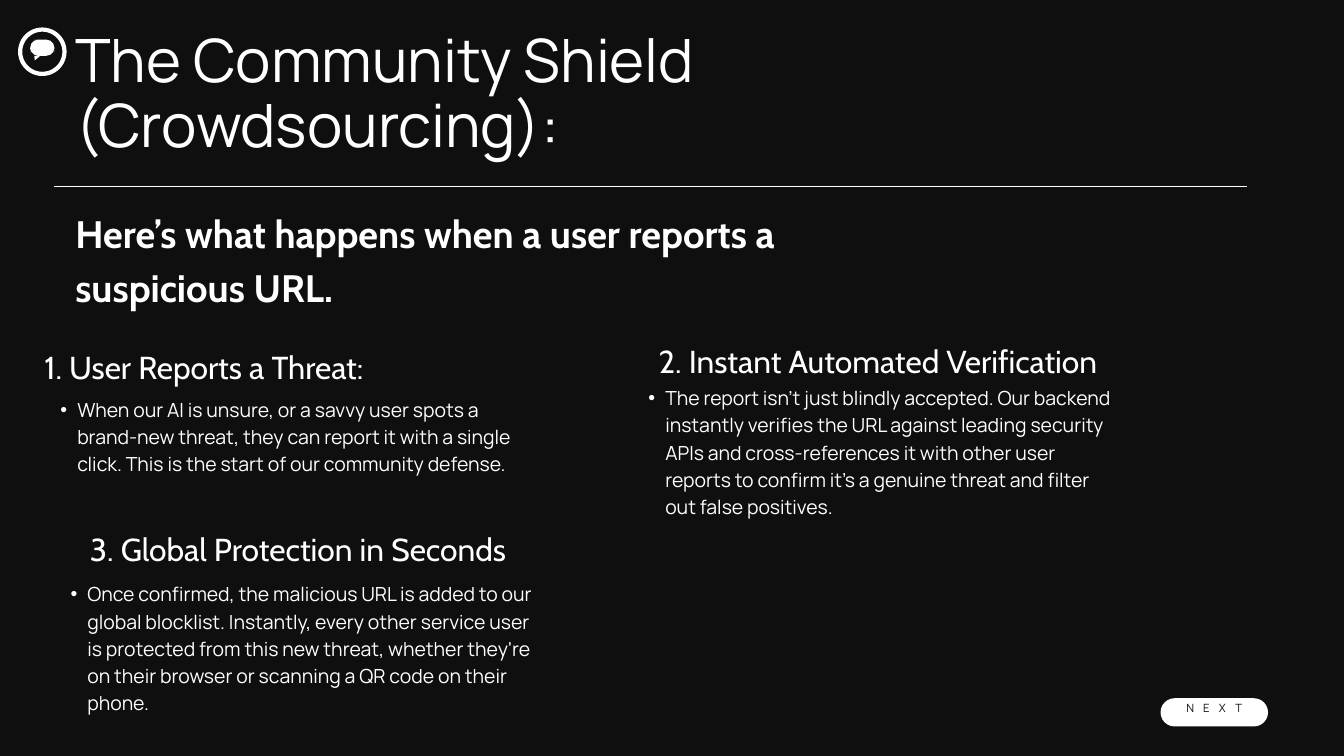
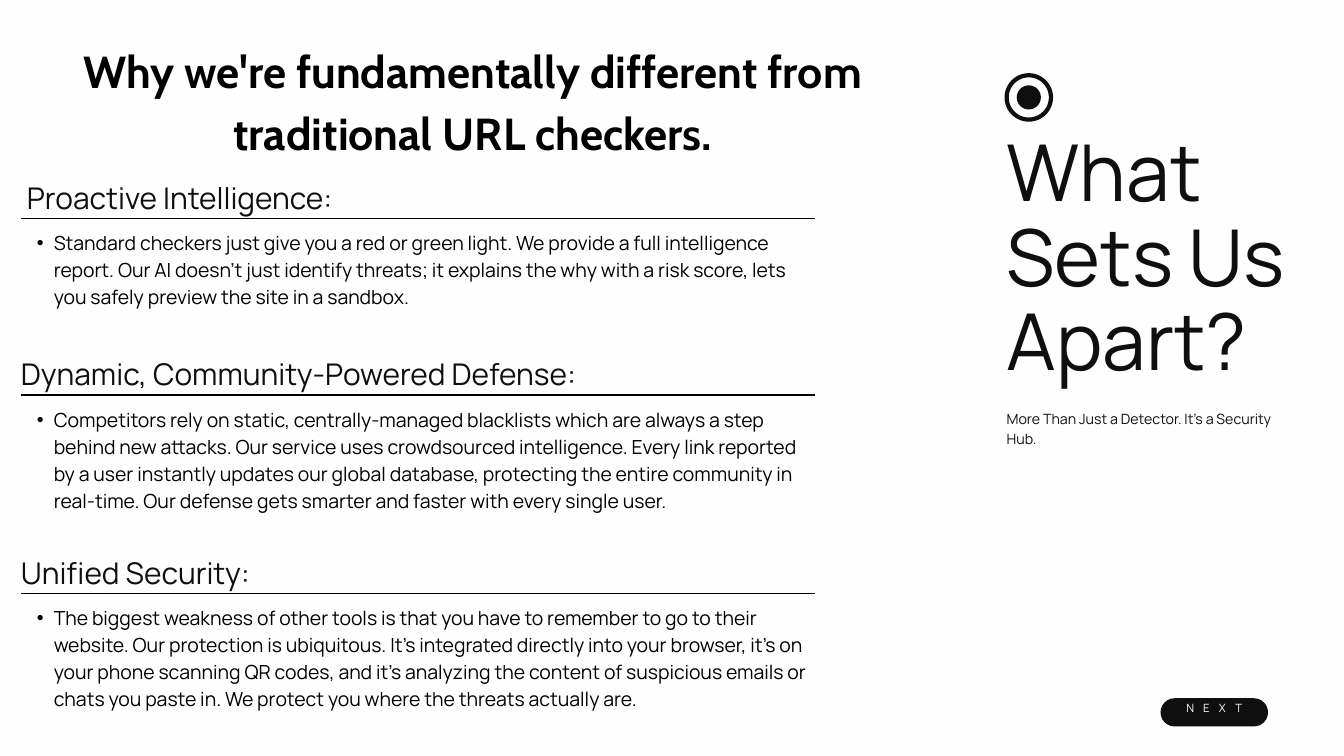
from dataclasses import dataclass

from lxml.etree import SubElement
from pptx import Presentation
from pptx.dml.color import RGBColor
from pptx.enum.shapes import MSO_CONNECTOR, MSO_SHAPE
from pptx.enum.text import MSO_ANCHOR, MSO_AUTO_SIZE, PP_ALIGN
from pptx.oxml.ns import qn
from pptx.util import Inches, Pt


@dataclass(frozen=True)
class TextStyle:
    size: float
    leading: float
    font: str = "Manrope"
    bold: bool = False


class Theme:
    INK = RGBColor.from_string("0F0F0F")
    BLACK = RGBColor.from_string("000000")
    WHITE = RGBColor.from_string("FFFFFF")
    PAPER = RGBColor.from_string("FEFEFE")
    TITLE = TextStyle(64, 69.1)
    SIDE_TITLE = TextStyle(84, 90.7)
    LEAD = TextStyle(41, 57.4, "Cabin", True)
    SIDE_LEAD = TextStyle(48, 67.2, "Cabin", True)
    STEP = TextStyle(34, 47.6, "Cabin")
    TOPIC = TextStyle(32, 44.8)
    BODY = TextStyle(20.8, 29.1)
    TAGLINE = TextStyle(15.2, 21.3)
    BUTTON = TextStyle(12.2, 17.1)


LEFT, CENTER, JUSTIFY = PP_ALIGN.LEFT, PP_ALIGN.CENTER, PP_ALIGN.JUSTIFY

SHIELD_TITLE = "The Community Shield (Crowdsourcing):"
SHIELD_LEAD = "Here’s what happens when a user reports a suspicious URL."
# heading, heading box, heading alignment, explanation, explanation box
STEPS = [
    ("1. User Reports a Threat:", (0.66, 5.08, 5.57, 0.63), JUSTIFY,
     "When our AI is unsure, or a savvy user spots a brand-new threat, they can "
     "report it with a single click. This is the start of our community defense.",
     (0.66, 5.86, 7.31, 1.6)),
    ("2. Instant Automated Verification", (9.31, 4.99, 7.51, 0.63), CENTER,
     "The report isn't just blindly accepted. Our backend instantly verifies the "
     "URL against leading security APIs and cross-references it with other user "
     "reports to confirm it's a genuine threat and filter out false positives.",
     (9.41, 5.69, 7.31, 1.99)),
    ("3. Global Protection in Seconds", (0.63, 7.79, 7.61, 0.63), CENTER,
     "Once confirmed, the malicious URL is added to our global blocklist. "
     "Instantly, every other service user is protected from this new threat, "
     "whether they're on their browser or scanning a QR code on their phone.",
     (0.81, 8.61, 7.31, 1.99)),
]

APART_TITLE = "What Sets Us Apart?"
APART_TAGLINE = "More Than Just a Detector. It's a Security Hub."
APART_LEAD = "Why we're fundamentally different from traditional URL checkers."
TOPIC_LEFT, TOPIC_WIDTH = 0.31, 11.82
# height of the rule, heading indent, heading, explanation
TOPICS = [
    (3.25, 0.09, "Proactive Intelligence:",
     "Standard checkers just give you a red or green light. We provide a full "
     "intelligence report. Our AI doesn't just identify threats; it explains the "
     "why with a risk score, lets you safely preview the site in a sandbox."),
    (5.88, 0, "Dynamic, Community-Powered Defense:",
     "Competitors rely on static, centrally-managed blacklists which are always a "
     "step behind new attacks. Our service uses crowdsourced intelligence. Every "
     "link reported by a user instantly updates our global database, protecting "
     "the entire community in real-time. Our defense gets smarter and faster with "
     "every single user."),
    (8.83, 0, "Unified Security:",
     "The biggest weakness of other tools is that you have to remember to go to "
     "their website. Our protection is ubiquitous. It's integrated directly into "
     "your browser, it's on your phone scanning QR codes, and it's analyzing the "
     "content of suspicious emails or chats you paste in. We protect you where the "
     "threats actually are."),
]


def inches(box):
    return [Inches(length) for length in box]


def write(holder, text, style, color, align=LEFT, bullet=False):
    """Fill a shape's text frame with one styled paragraph and return its run."""
    frame = holder.text_frame
    frame.word_wrap = True
    frame.auto_size = MSO_AUTO_SIZE.NONE
    frame.vertical_anchor = MSO_ANCHOR.TOP
    frame.margin_left = frame.margin_top = frame.margin_right = frame.margin_bottom = 0
    paragraph = frame.paragraphs[0]
    properties = paragraph._p.get_or_add_pPr()
    properties.set("marL", str(Inches(0.49 if bullet else 0)))
    properties.set("indent", str(Inches(-0.25 if bullet else 0)))
    if bullet:
        SubElement(properties, qn("a:buFont"), typeface="Arial")
        SubElement(properties, qn("a:buChar"), char="•")
    else:
        SubElement(properties, qn("a:buNone"))
    paragraph.alignment = align
    paragraph.line_spacing = Pt(style.leading)
    paragraph.space_before = paragraph.space_after = Pt(0)
    run = paragraph.add_run()
    run.text = text
    run.font.size, run.font.name, run.font.bold = Pt(style.size), style.font, style.bold
    run.font.color.rgb = color
    return run


def place(placeholder, box, *args, **options):
    placeholder.left, placeholder.top, placeholder.width, placeholder.height = inches(box)
    write(placeholder, *args, **options)


def add_text(slide, box, *args, **options):
    write(slide.shapes.add_textbox(*inches(box)), *args, **options)


def add_rule(slide, left, right, y, color, weight):
    rule = slide.shapes.add_connector(
        MSO_CONNECTOR.STRAIGHT, *inches((left, y, right, y)))
    rule.line.color.rgb, rule.line.width = color, Pt(weight)
    SubElement(rule._element.spPr, qn("a:effectLst"))


def add_solid(slide, preset, box, color):
    solid = slide.shapes.add_shape(preset, *inches(box))
    solid.shadow.inherit = False
    solid.fill.solid()
    solid.fill.fore_color.rgb = color
    solid.line.fill.background()
    return solid


def add_ring(slide, left, top, color):
    ring = slide.shapes.add_shape(MSO_SHAPE.OVAL, *inches((left, top, 0.66, 0.66)))
    ring.shadow.inherit = False
    ring.fill.background()
    ring.line.color.rgb, ring.line.width = color, Pt(4.5)


def add_next_button(slide, fill, color):
    button = add_solid(slide, MSO_SHAPE.ROUNDED_RECTANGLE, (17.27, 10.39, 1.6, 0.42), fill)
    button.adjustments[0] = 0.5
    label = write(button, "NEXT", Theme.BUTTON, color, CENTER)
    label.font._element.set("spc", "980")
    button.text_frame.vertical_anchor = MSO_ANCHOR.MIDDLE
    button.text_frame.margin_bottom = Inches(0.16)


def start_slide(deck, background):
    """Add a slide; return it with its title, lead and three list placeholders."""
    slide = deck.slides.add_slide(deck.slide_layouts.get_by_name("Comparison"))
    slide.background.fill.solid()
    slide.background.fill.fore_color.rgb = background
    title, lead, *lists = slide.placeholders
    return slide, title, lead, lists


def build_shield(deck):
    slide, title, lead, lists = start_slide(deck, Theme.INK)
    add_ring(slide, 0.3, 0.44, Theme.WHITE)
    bubble = add_solid(slide, MSO_SHAPE.ROUNDED_RECTANGULAR_CALLOUT,
                       (0.45, 0.59, 0.36, 0.24), Theme.PAPER)
    for number, value in enumerate((-0.31, 0.79, 0.5)):
        bubble.adjustments[number] = value
    place(title, (1.12, 0.45, 10.2, 2.01), SHIELD_TITLE, Theme.TITLE, Theme.WHITE)
    add_rule(slide, 0.81, 18.56, 2.78, Theme.WHITE, 0.75)
    place(lead, (1.12, 3.02, 11.32, 1.7), SHIELD_LEAD, Theme.LEAD, Theme.WHITE)
    for body, (heading, heading_box, align, text, text_box) in zip(lists, STEPS):
        add_text(slide, heading_box, heading, Theme.STEP, Theme.WHITE, align)
        place(body, text_box, text, Theme.BODY, Theme.WHITE, bullet=True)
    add_next_button(slide, Theme.WHITE, Theme.INK)


def build_apart(deck):
    slide, title, lead, lists = start_slide(deck, Theme.PAPER)
    add_ring(slide, 14.98, 1.12, Theme.INK)
    add_solid(slide, MSO_SHAPE.OVAL, (15.13, 1.27, 0.36, 0.36), Theme.INK)
    place(title, (14.98, 1.97, 4.58, 3.87), APART_TITLE, Theme.SIDE_TITLE, Theme.INK)
    add_text(slide, (14.98, 6.07, 3.98, 0.58), APART_TAGLINE, Theme.TAGLINE, Theme.INK)
    place(lead, (0.03, 0.51, 14.01, 1.81), APART_LEAD, Theme.SIDE_LEAD, Theme.BLACK, CENTER)
    for body, (y, indent, heading, text) in zip(lists, TOPICS):
        add_text(slide, (TOPIC_LEFT + indent, y - 0.67, TOPIC_WIDTH - indent, 0.62),
                 heading, Theme.TOPIC, Theme.INK)
        add_rule(slide, TOPIC_LEFT, TOPIC_LEFT + TOPIC_WIDTH, y, Theme.BLACK, 1.5)
        place(body, (TOPIC_LEFT, y + 0.13, TOPIC_WIDTH, 1.99),
              text, Theme.BODY, Theme.BLACK, bullet=True)
    add_next_button(slide, Theme.INK, Theme.WHITE)


def main():
    deck = Presentation()
    deck.slide_width, deck.slide_height = Inches(20), Inches(11.25)
    build_shield(deck)
    build_apart(deck)
    deck.save("out.pptx")


if __name__ == "__main__":
    main()
